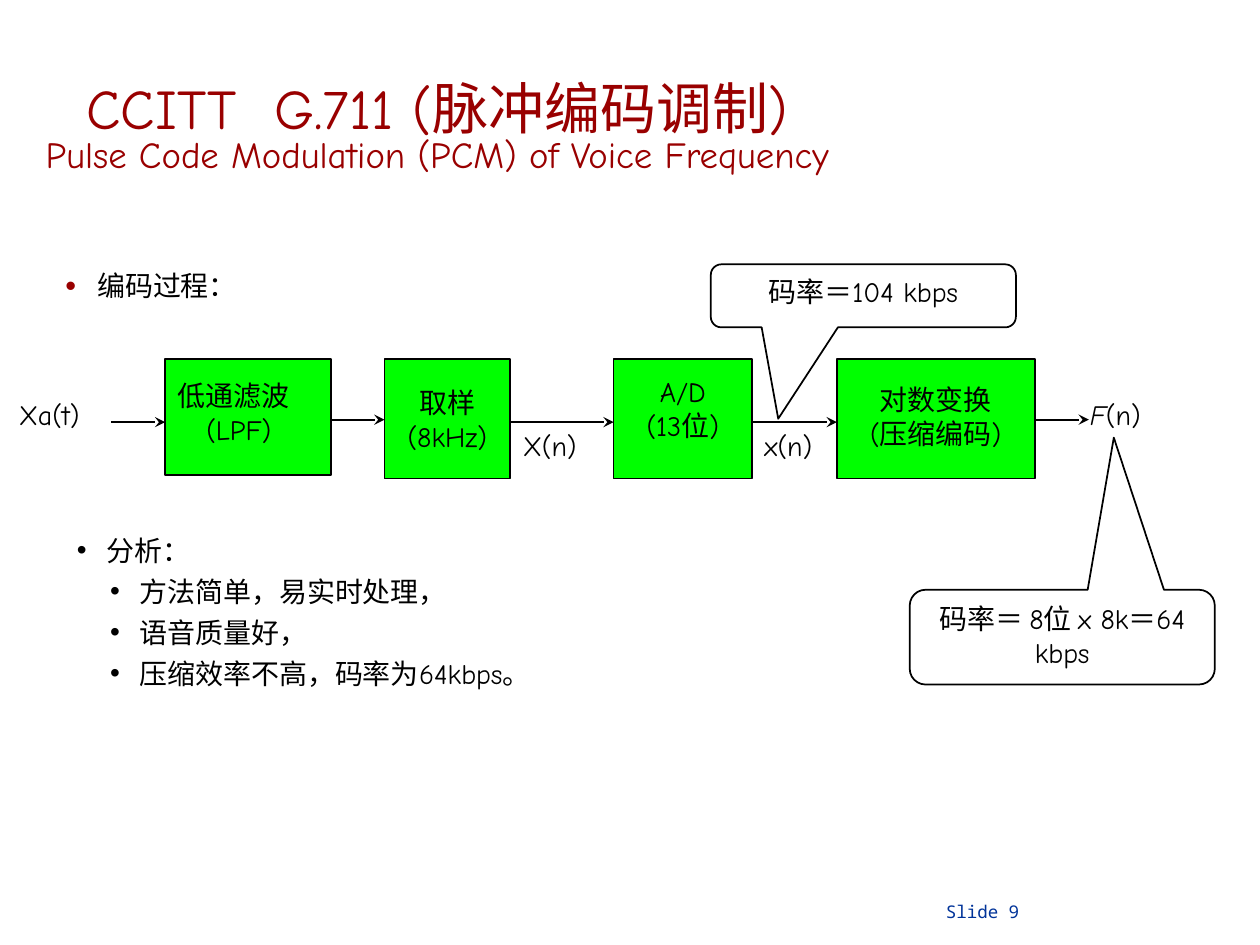
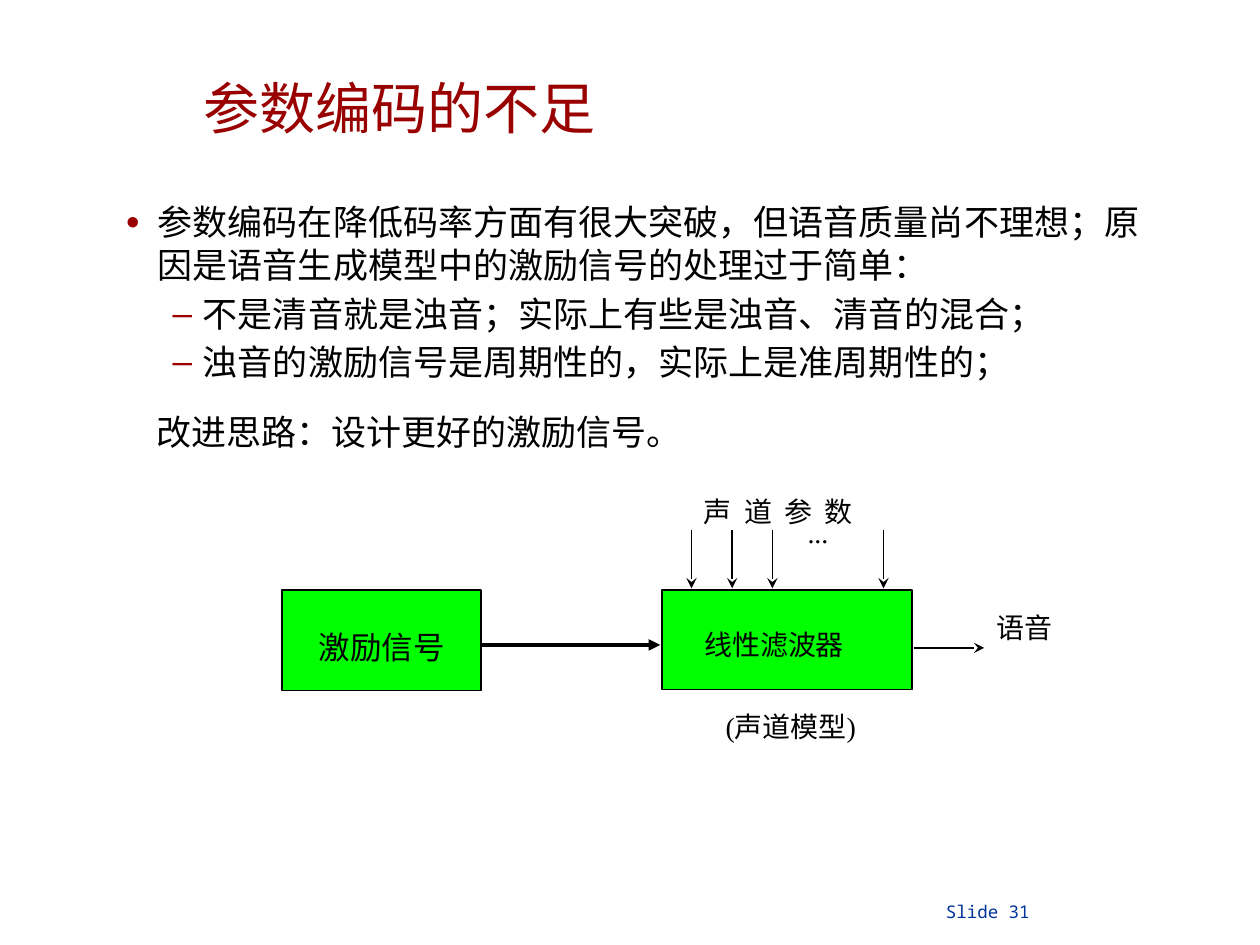
from pptx import Presentation
from pptx.dml.color import RGBColor
from pptx.enum.shapes import MSO_CONNECTOR as Link, MSO_SHAPE as Kind
from pptx.enum.text import MSO_ANCHOR as Anchor, MSO_AUTO_SIZE as Fit, PP_ALIGN as Align
from pptx.oxml.ns import qn
from pptx.util import Cm, Pt
from lxml.etree import SubElement

RED, BLUE, BLACK, GREEN = "990000", "003399", "000000", "00FF00"
COMIC, HAN, MONO, TIMES = "Comic Neue", "Noto Sans CJK SC", "Noto Sans Mono", "Times New Roman"
PITCH = 1.21  # line height per point of text size
BOX_TOP, LOW_TOP = 7.24, 11.89

# Places are (left, top, width, height) in cm.
# A paragraph is a string, or a string with its own format.
PCM = {
    "number": 9,
    "title": [
        "CCITT  G.711 (脉冲编码调制)",
        ("Pulse Code Modulation (PCM) of Voice Frequency", dict(size=21, pitch=0.95)),
    ],
    "title_at": (0.23, 1.47, 17.17, 2.84),
    "font": COMIC,
    "body": [("编码过程：", dict(bullet="•", mark=RED, scale=110, left=0.64, hang=0.64))],
    "body_at": (1.07, 5.28, 22.43, 11.18),
    "body_size": 16,
}
STAGES = [  # left, width, height, space above text, lines, alignment
    (3.33, 3.35, 2.34, 0.38, ["低通滤波", ("(LPF)", dict(left=0.58))], Align.LEFT),
    (7.75, 2.54, 2.41, 0.52, ["取样", "(8kHz)"], Align.CENTER),
    (12.37, 2.79, 2.41, 0.3, ["A/D", "(13位)"], Align.CENTER),
    (16.87, 3.99, 2.41, 0.46, ["对数变换", "(压缩编码)"], Align.CENTER),
]
FLOW_IN, FLOW_OUT = 2.24, 21.95
FLOW_Y = [8.51, 8.46, 8.51, 8.51, 8.46]
SIGNALS = [
    ("Xa(t)", 0.13, 7.87, 0),
    ("X(n)", 10.29, 8.51, 0),
    ("x(n)", 15.16, 8.51, 0),
    ("F(n)", 21.72, 7.87, 1),
]
RATES = [  # text, place, pointer tip
    ("码率＝104 kbps", (14.33, 5.33, 6.15, 1.27), (-0.279, 1.951)),
    ("码率＝ 8位 x 8k＝64 kbps", (18.34, LOW_TOP, 6.15, 1.91), (0.169, -2.106)),
]
REVIEW_AT = (1.3, 10.62, 22.02, 3.4)
REVIEW = "分析："
POINTS = ["方法简单，易实时处理，", "语音质量好，", "压缩效率不高，码率为64kbps。"]

DASH = dict(bullet="–", mark=RED, level=1, left=1.55, hang=0.61, before=3.7)
LIMITS = {
    "number": 31,
    "title": ["参数编码的不足"],
    "title_at": (0.25, 1.47, 15.62, 1.22),
    "font": HAN,
    "body": [
        ("参数编码在降低码率方面有很大突破，但语音质量尚不理想；"
         "原因是语音生成模型中的激励信号的处理过于简单：",
         dict(bullet="•", mark=RED, scale=110, left=0.64, hang=0.64)),
        ("不是清音就是浊音；实际上有些是浊音、清音的混合；", DASH),
        ("浊音的激励信号是周期性的，实际上是准周期性的；", DASH),
    ],
    "body_at": (2.29, 3.91, 20.98, 4.6),
    "body_size": 20,
}
IDEA = ("改进思路：设计更好的激励信号。", (2.9, 8.13, 19.48, 1.12))
SOURCE = ("激励信号", (5.69, LOW_TOP, 4.01, 2.03))
FILTER = ("线性滤波器", (13.34, LOW_TOP, 5.05, 2.01))
TRACT = [
    ("声  道  参  数", (13.94, 9.83, 5.11, 0.94)),
    ("...", (16.03, 10.26, 1.57, 0.94)),
    ("语音", (19.84, 12.17, 3.05, 0.94)),
    ("(声道模型)", (14.38, 14.17, 3.89, 0.94)),
]
TRACT_X = [13.94, 14.76, 15.57, 17.81]


def rgb(code):
    return RGBColor.from_string(code)


def cms(place):
    return [Cm(v) for v in place]


def add_run(para, text, size, font, color, italic):
    run = para.add_run()
    run.text = text
    run.font.size, run.font.name, run.font.italic = Pt(size), font, italic
    run.font.color.rgb = rgb(color)
    east = SubElement(run.font._element, qn("a:ea"))
    east.set("typeface", HAN)


def fill_para(para, text, size=16, font=COMIC, color=BLACK, align=Align.LEFT, pitch=PITCH,
              before=0, level=0, left=0, hang=0, bullet=None, mark=BLACK, scale=100, slant=0):
    """Write one paragraph; the first `slant` letters are italic."""
    para.alignment, para.level = align, level
    para.line_spacing = Pt(round(size * pitch, 1))
    para.space_before, para.space_after = Pt(before), Pt(0)
    props = para._p.get_or_add_pPr()
    props.set("marL", str(Cm(left)))
    props.set("indent", str(-Cm(hang)))
    if bullet:
        tint = SubElement(props, qn("a:buClr"))
        SubElement(tint, qn("a:srgbClr")).set("val", mark)
        SubElement(props, qn("a:buSzPct")).set("val", str(scale * 1000))
        SubElement(props, qn("a:buFont")).set("typeface", "Arial")
        SubElement(props, qn("a:buChar")).set("char", bullet)
    for part, italic in ((text[:slant], True), (text[slant:], False)):
        if part:
            add_run(para, part, size, font, color, italic)


def put(shape, lines, side=0.25, top=0.13, **fmt):
    """Write paragraphs into a shape, from its top edge down."""
    frame = shape.text_frame
    frame.word_wrap, frame.auto_size = True, Fit.NONE
    frame.vertical_anchor = Anchor.TOP
    frame.margin_left = frame.margin_right = Cm(side)
    frame.margin_top = frame.margin_bottom = Cm(top)
    for i, line in enumerate(lines):
        text, own = (line, {}) if isinstance(line, str) else line
        para = frame.add_paragraph() if i else frame.paragraphs[0]
        fill_para(para, text, **{**fmt, **own})


def label(slide, lines, place, **fmt):
    put(slide.shapes.add_textbox(*cms(place)), lines, **fmt)


def block(slide, kind, place, fill=None):
    shape = slide.shapes.add_shape(kind, *cms(place))
    shape.shadow.inherit = False
    shape.line.color.rgb, shape.line.width = rgb(BLACK), Pt(1)
    if fill:
        shape.fill.solid()
        shape.fill.fore_color.rgb = rgb(fill)
    else:
        shape.fill.background()
    return shape


def arrow(slide, x1, y1, x2, y2, width=1, head="stealth"):
    link = slide.shapes.add_connector(Link.STRAIGHT, *cms((x1, y1, x2, y2)))
    link.line.color.rgb, link.line.width = rgb(BLACK), Pt(width)
    SubElement(link.line._get_or_add_ln(), qn("a:tailEnd")).set("type", head)
    SubElement(link._element.spPr, qn("a:effectLst"))


def place_in(holder, place):
    holder.left, holder.top, holder.width, holder.height = cms(place)


def start(deck, page):
    """Add a slide with the shared title, list and footer."""
    slide = deck.slides.add_slide(deck.slide_layouts[1])
    title, body = slide.placeholders
    place_in(title, page["title_at"])
    put(title, page["title"], side=0.13, top=0, size=32, font=page["font"],
        color=RED, align=Align.CENTER)
    place_in(body, page["body_at"])
    put(body, page["body"], size=page["body_size"], font=page["font"])
    label(slide, [f"Slide {page['number']}"], (19.07, 18.16, 4, 0.48), side=0, top=0,
          size=10, font=MONO, color=BLUE)
    return slide


def draw_pcm(deck):
    slide = start(deck, PCM)
    for left, width, height, top, lines, align in STAGES:
        box = block(slide, Kind.RECTANGLE, (left, BOX_TOP, width, height), GREEN)
        put(box, lines, top=top, align=align)
    tails = [FLOW_IN] + [stage[0] + stage[1] for stage in STAGES]
    heads = [stage[0] for stage in STAGES] + [FLOW_OUT]
    for x1, x2, y in zip(tails, heads, FLOW_Y):
        arrow(slide, x1, y, x2, y)
    for text, x, y, slant in SIGNALS:
        label(slide, [text], (x, y, 2.54, 0.94), slant=slant)
    dot = dict(bullet="•", hang=0.6, before=4)
    points = [(text, dict(dot, level=1, left=1.27)) for text in POINTS]
    label(slide, [(REVIEW, dict(dot, left=0.6))] + points, REVIEW_AT)
    for text, place, tip in RATES:
        note = block(slide, Kind.ROUNDED_RECTANGULAR_CALLOUT, place)
        note.adjustments[0], note.adjustments[1] = tip
        put(note, [text], align=Align.CENTER)


def draw_limits(deck):
    slide = start(deck, LIMITS)
    text, place = SOURCE
    put(block(slide, Kind.RECTANGLE, place, GREEN), [text], top=0.76, size=18,
        font=TIMES, align=Align.CENTER)
    text, place = FILTER
    put(block(slide, Kind.RECTANGLE, place, GREEN), [text], top=0.76, font=TIMES, left=0.61)
    for x in TRACT_X:
        arrow(slide, x, 10.69, x, 11.86)
    arrow(slide, 18.42, 13.06, 19.84, 13.06)
    arrow(slide, 9.7, 13, 13.31, 13, width=2.25, head="triangle")
    for text, place in TRACT:
        label(slide, [text], place, font=TIMES)
    text, place = IDEA
    label(slide, [text], place, size=20, font=HAN)


def main():
    deck = Presentation()
    deck.slide_width, deck.slide_height = Cm(25.4), Cm(19.05)
    draw_pcm(deck)
    draw_limits(deck)
    deck.save("out.pptx")


if __name__ == "__main__":
    main()
